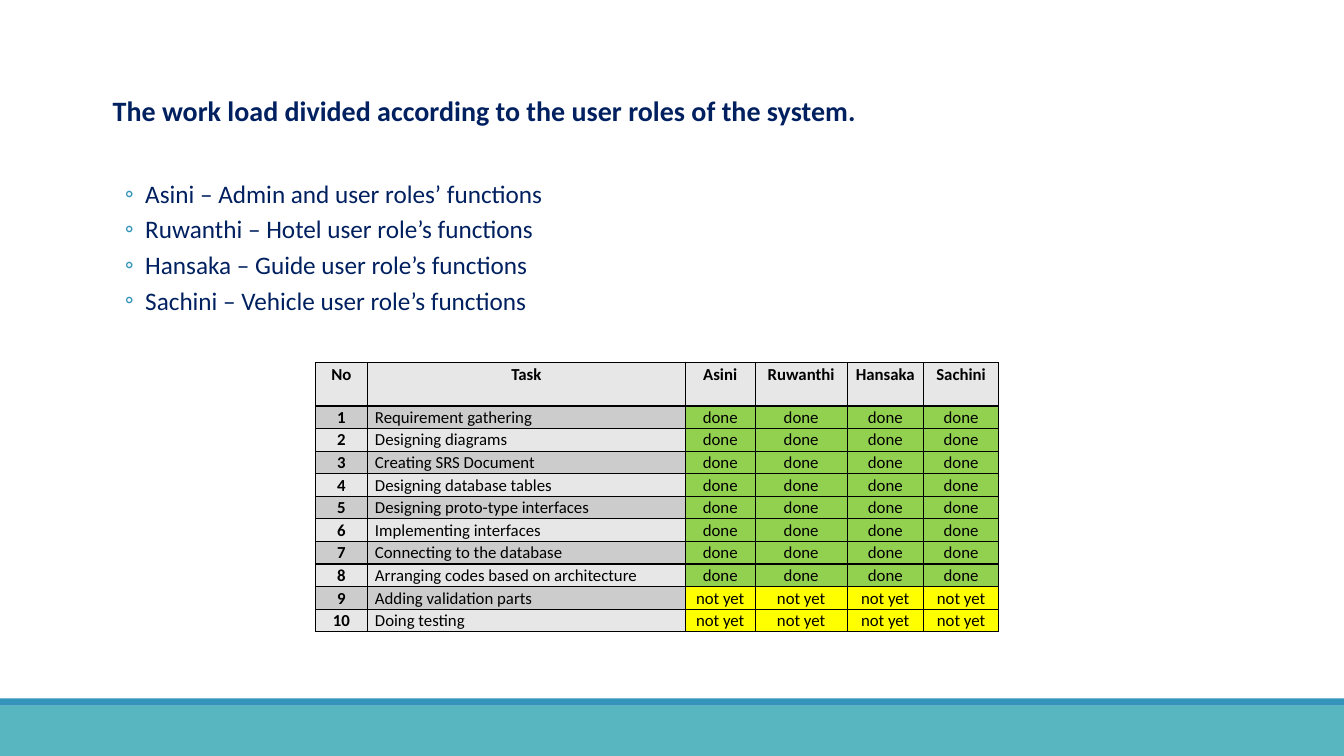
"""Build the work division slide with its task progress table."""
from dataclasses import dataclass
from typing import NamedTuple

from lxml.etree import SubElement
from pptx import Presentation
from pptx.dml.color import RGBColor
from pptx.enum.shapes import MSO_SHAPE as Preset
from pptx.enum.text import MSO_ANCHOR as Anchor, MSO_AUTO_SIZE as AutoSize, PP_ALIGN as Align
from pptx.oxml.ns import qn
from pptx.util import Cm, Pt


@dataclass(frozen=True)
class Theme:
    font: str = "Calibri"
    navy: str = "002060"
    ink: str = "000000"
    blue: str = "3494BA"
    teal: str = "58B6C0"
    light: str = "E7E7E7"
    grey: str = "CCCCCC"
    green: str = "92D050"
    yellow: str = "FFFF00"
    title_size: int = 20
    list_size: int = 18
    table_size: int = 12


class Box(NamedTuple):
    left: float
    top: float
    width: float
    height: float


class Band(NamedTuple):
    box: Box
    color: str


class Column(NamedTuple):
    heading: str
    width: float


class Task(NamedTuple):
    name: str
    done: bool = True


THEME = Theme()
PAGE_WIDTH, PAGE_HEIGHT = 33.87, 19.05
TITLE = "The work load divided according to the user roles of the system."
TITLE_BOX = Box(2.84, 2.46, 27.9, 1)
LIST_BOX = Box(2.59, 4.57, 27.9, 3.9)
ROLES = [
    "Asini – Admin and user roles’ functions",
    "Ruwanthi – Hotel user role’s functions",
    "Hansaka – Guide user role’s functions",
    "Sachini – Vehicle user role’s functions",
]
BANDS = [
    Band(Box(0, 17.78, PAGE_WIDTH, 1.27), THEME.teal),
    Band(Box(0, 17.6, PAGE_WIDTH, 0.18), THEME.blue),
]
COLUMNS = [
    Column("No", 1.31),
    Column("Task", 8.01),
    Column("Asini", 1.76),
    Column("Ruwanthi", 2.32),
    Column("Hansaka", 1.92),
    Column("Sachini", 1.9),
]
TASKS = [
    Task("Requirement gathering"),
    Task("Designing diagrams"),
    Task("Creating SRS Document"),
    Task("Designing database tables"),
    Task("Designing proto-type interfaces"),
    Task("Implementing interfaces"),
    Task("Connecting to the database"),
    Task("Arranging codes based on architecture"),
    Task("Adding validation parts", done=False),
    Task("Doing testing", done=False),
]
TABLE_LEFT, TABLE_TOP = 7.95, 9.14
HEADER_HEIGHT, ROW_HEIGHT = 1.09, 0.57


def lengths(box: Box) -> list[Cm]:
    return [Cm(value) for value in box]


def format_runs(para, size: int, color: str, bold: bool = False) -> None:
    for span in para.runs:
        span.font.name = THEME.font
        span.font.size = Pt(size)
        span.font.bold = bold
        span.font.color.rgb = RGBColor.from_string(color)


def fill_placeholder(shape, box: Box, text: str) -> None:
    shape.left, shape.top, shape.width, shape.height = lengths(box)
    frame = shape.text_frame
    frame.text = text
    frame.word_wrap = True
    frame.auto_size = AutoSize.NONE
    frame.vertical_anchor = Anchor.TOP
    frame.margin_left = frame.margin_right = frame.margin_top = frame.margin_bottom = 0
    for para in frame.paragraphs:
        para.alignment = Align.LEFT
        para.line_spacing = 0.9


def add_bullet(para) -> None:
    properties = para._p.get_or_add_pPr()
    properties.set("marL", str(Cm(1.07)))
    properties.set("indent", str(-Cm(0.51)))
    color = SubElement(properties, qn("a:buClr"))
    SubElement(color, qn("a:srgbClr"), val=THEME.blue)
    SubElement(properties, qn("a:buFont"), typeface=THEME.font)
    SubElement(properties, qn("a:buChar"), char="◦")


def add_title(slide) -> None:
    title = slide.shapes.title
    fill_placeholder(title, TITLE_BOX, TITLE)
    format_runs(title.text_frame.paragraphs[0], THEME.title_size, THEME.navy, bold=True)


def add_roles(slide) -> None:
    body = slide.placeholders[1]
    fill_placeholder(body, LIST_BOX, "\n".join(ROLES))
    for para in body.text_frame.paragraphs:
        para.space_before, para.space_after = Pt(2), Pt(4)
        add_bullet(para)
        format_runs(para, THEME.list_size, THEME.navy)


def add_band(slide, band: Band) -> None:
    shape = slide.shapes.add_shape(Preset.RECTANGLE, *lengths(band.box))
    shape.shadow.inherit = False
    shape.fill.solid()
    shape.fill.fore_color.rgb = RGBColor.from_string(band.color)
    shape.line.fill.background()


def add_borders(cell) -> None:
    properties = cell._tc.get_or_add_tcPr()
    for side in ("lnL", "lnR", "lnT", "lnB"):
        line = SubElement(properties, qn(f"a:{side}"), w=str(Pt(1)))
        fill = SubElement(line, qn("a:solidFill"))
        SubElement(fill, qn("a:srgbClr"), val=THEME.ink)


def fill_cell(cell, text: str, color: str, bold: bool, align: Align) -> None:
    cell.margin_left = cell.margin_right = Cm(0.19)
    cell.margin_top = cell.margin_bottom = 0
    add_borders(cell)
    cell.fill.solid()
    cell.fill.fore_color.rgb = RGBColor.from_string(color)
    para = cell.text_frame.paragraphs[0]
    para.text = text
    para.alignment = align
    para.line_spacing = 1.07
    format_runs(para, THEME.table_size, THEME.ink, bold)


def add_task_table(slide) -> None:
    width = sum(column.width for column in COLUMNS)
    height = HEADER_HEIGHT + ROW_HEIGHT * len(TASKS)
    box = Box(TABLE_LEFT, TABLE_TOP, width, height)
    table = slide.shapes.add_table(len(TASKS) + 1, len(COLUMNS), *lengths(box)).table
    for index, column in enumerate(COLUMNS):
        table.columns[index].width = Cm(column.width)
        fill_cell(table.cell(0, index), column.heading, THEME.light, True, Align.CENTER)
    table.rows[0].height = Cm(HEADER_HEIGHT)
    for number, task in enumerate(TASKS, start=1):
        table.rows[number].height = Cm(ROW_HEIGHT)
        stripe = THEME.grey if number % 2 else THEME.light
        fill_cell(table.cell(number, 0), str(number), stripe, True, Align.CENTER)
        fill_cell(table.cell(number, 1), task.name, stripe, False, Align.LEFT)
        status, color = ("done", THEME.green) if task.done else ("not yet", THEME.yellow)
        for index in range(2, len(COLUMNS)):
            fill_cell(table.cell(number, index), status, color, False, Align.CENTER)


def main() -> None:
    deck = Presentation()
    deck.slide_width, deck.slide_height = Cm(PAGE_WIDTH), Cm(PAGE_HEIGHT)
    slide = deck.slides.add_slide(deck.slide_layouts[1])
    for band in BANDS:
        add_band(slide, band)
    add_title(slide)
    add_roles(slide)
    add_task_table(slide)
    deck.save("out.pptx")


if __name__ == "__main__":
    main()
